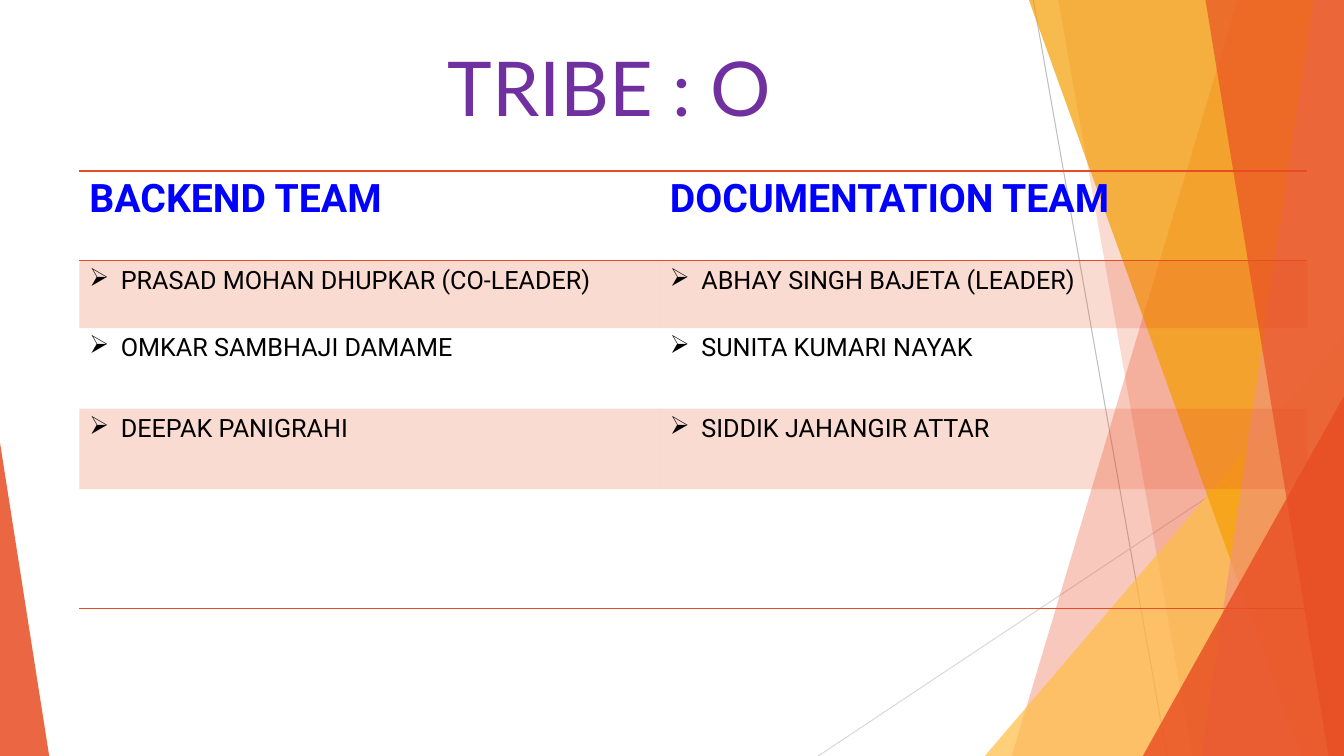
from lxml.etree import SubElement
from pptx import Presentation
from pptx.dml.color import RGBColor
from pptx.enum.shapes import MSO_CONNECTOR, MSO_SHAPE
from pptx.enum.text import MSO_ANCHOR, MSO_AUTO_SIZE, PP_ALIGN
from pptx.oxml import parse_xml
from pptx.oxml.ns import nsdecls, qn
from pptx.util import Cm, Pt

RED = RGBColor(0xE8, 0x4C, 0x22)
SALMON = RGBColor(0xF1, 0x94, 0x7A)
GOLD = RGBColor(0xFF, 0xBD, 0x47)
AMBER = RGBColor(0xF4, 0x9D, 0x00)
GREY = RGBColor(0xBF, 0xBF, 0xBF)
LIGHT_GREY = RGBColor(0xD9, 0xD9, 0xD9)
PURPLE = RGBColor(0x70, 0x30, 0xA0)
BLUE = RGBColor(0x00, 0x00, 0xFF)
BLACK = RGBColor(0x00, 0x00, 0x00)

WIDTH, HEIGHT = 33.87, 19.05
NO_STYLE = "{2D5ABB26-0587-4C30-8999-92F81FD0307C}"
COLUMNS = [14.63, 16.31]
ROWS = [2.26, 1.7, 2.03, 2.03, 3]
TEAMS = [
    ("BACKEND TEAM", "DOCUMENTATION TEAM"),
    ("PRASAD MOHAN DHUPKAR (CO-LEADER)", "ABHAY SINGH BAJETA (LEADER)"),
    ("OMKAR SAMBHAJI DAMAME", "SUNITA KUMARI NAYAK"),
    ("DEEPAK PANIGRAHI", "SIDDIK JAHANGIR ATTAR"),
    ("", ""),
]


def set_fill(fill, colour, opacity):
    """Fill with a solid colour at an opacity in percent."""
    fill.solid()
    fill.fore_color.rgb = colour
    clr = fill._xPr.find(qn("a:solidFill")).find(qn("a:srgbClr"))
    SubElement(clr, qn("a:alpha"), val=str(opacity * 1000))


def finish(sp, colour, opacity):
    """Give a decorative shape its fill, without line or shadow."""
    set_fill(sp.fill, colour, opacity)
    sp.line.fill.background()
    sp.shadow.inherit = False


def add_line(slide, x1, y1, x2, y2, colour):
    """Draw a thin straight line."""
    line = slide.shapes.add_connector(
        MSO_CONNECTOR.STRAIGHT, Cm(x1), Cm(y1), Cm(x2), Cm(y2))
    line.line.color.rgb = colour
    line.line.width = Pt(0.75)
    SubElement(line._element.spPr, qn("a:effectLst"))


def add_panel(slide, top_x, bottom_x, colour, opacity):
    """Draw a full-height panel with a slanted left edge."""
    builder = slide.shapes.build_freeform(Cm(top_x), 0)
    builder.add_line_segments([
        (Cm(WIDTH), 0), (Cm(WIDTH), Cm(HEIGHT)), (Cm(bottom_x), Cm(HEIGHT))])
    finish(builder.convert_to_shape(), colour, opacity)


def add_triangle(slide, left, top, width, apex, colour, opacity):
    """Draw a triangle that stands on the bottom edge."""
    sp = slide.shapes.add_shape(
        MSO_SHAPE.ISOSCELES_TRIANGLE,
        Cm(left), Cm(top), Cm(width), Cm(HEIGHT - top))
    sp.adjustments[0] = apex
    finish(sp, colour, opacity)


def add_decoration(slide):
    """Draw the lines, panels and triangles from back to front."""
    add_line(slide, 26.04, 0, 29.41, HEIGHT, GREY)
    add_line(slide, WIDTH, 10.24, 20.62, HEIGHT, LIGHT_GREY)
    add_panel(slide, 31.19, 25.5, RED, 30)
    add_panel(slide, 26.67, 30.05, RED, 20)
    add_triangle(slide, 24.82, 8.46, 9.05, 1, GOLD, 72)
    add_panel(slide, 25.93, 32.79, AMBER, 70)
    add_panel(slide, 33.1, 30.28, SALMON, 70)
    add_panel(slide, 30.38, 33.48, RED, 65)
    add_triangle(slide, 28.8, 9.98, 5.07, 1, RED, 80)
    add_triangle(slide, 0, 11.15, 1.24, 0, RED, 85)


def style_run(p, font, size, colour, bold=False):
    """Format the runs of a paragraph."""
    for r in p.runs:
        r.font.name = font
        r.font.size = Pt(size)
        r.font.color.rgb = colour
        r.font.bold = bold


def add_title(slide, text):
    """Place and format the title."""
    title = slide.shapes.title
    title.left, title.top, title.width, title.height = (
        Cm(6.58), Cm(0.89), Cm(17.55), Cm(2.57))
    tf = title.text_frame
    tf.text = text
    tf.word_wrap = True
    tf.auto_size = MSO_AUTO_SIZE.SHAPE_TO_FIT_TEXT
    tf.vertical_anchor = MSO_ANCHOR.MIDDLE
    tf.paragraphs[0].alignment = PP_ALIGN.CENTER
    style_run(tf.paragraphs[0], "Lato", 54, PURPLE)


def add_bullet(p):
    """Give a paragraph an arrow bullet with a hanging indent."""
    pPr = p._p.get_or_add_pPr()
    pPr.set("marL", str(Cm(0.79)))
    pPr.set("indent", str(-Cm(0.79)))
    SubElement(pPr, qn("a:buChar"), char="➢")


def add_borders(cell, sides):
    """Draw red borders on the given sides of a cell."""
    tcPr = cell._tc.get_or_add_tcPr()
    for i, side in enumerate(sides):
        tcPr.insert(i, parse_xml(
            f'<a:ln{side} {nsdecls("a")} w="{Pt(1)}"><a:solidFill>'
            f'<a:srgbClr val="{RED}"/></a:solidFill></a:ln{side}>'))


def fill_cell(cell, text, row):
    """Write and format one cell according to its row."""
    cell.text = text
    p = cell.text_frame.paragraphs[0]
    if row == 0:
        p.alignment = PP_ALIGN.JUSTIFY
        style_run(p, "Roboto", 28, BLUE, True)
    elif text:
        add_bullet(p)
        style_run(p, "Roboto", 18, BLACK)
    if row % 2:
        set_fill(cell.fill, RED, 20)
    else:
        cell.fill.background()
    add_borders(cell, {0: "TB", len(ROWS) - 1: "B"}.get(row, ""))


def add_team_table(slide):
    """Add the table of both teams."""
    table = slide.shapes.add_table(
        len(ROWS), len(COLUMNS), Cm(2), Cm(4.31),
        Cm(sum(COLUMNS)), Cm(sum(ROWS))).table
    table.first_row = table.horz_banding = False
    table._tbl.tblPr.find(qn("a:tableStyleId")).text = NO_STYLE
    for column, width in zip(table.columns, COLUMNS):
        column.width = Cm(width)
    for i, (height, texts) in enumerate(zip(ROWS, TEAMS)):
        table.rows[i].height = Cm(height)
        for cell, text in zip(table.rows[i].cells, texts):
            fill_cell(cell, text, i)


def main():
    """Build the slide and save it."""
    prs = Presentation()
    prs.slide_width, prs.slide_height = Cm(WIDTH), Cm(HEIGHT)
    slide = prs.slides.add_slide(prs.slide_layouts[5])
    add_decoration(slide)
    add_title(slide, "TRIBE : O")
    add_team_table(slide)
    prs.save("out.pptx")


if __name__ == "__main__":
    main()
